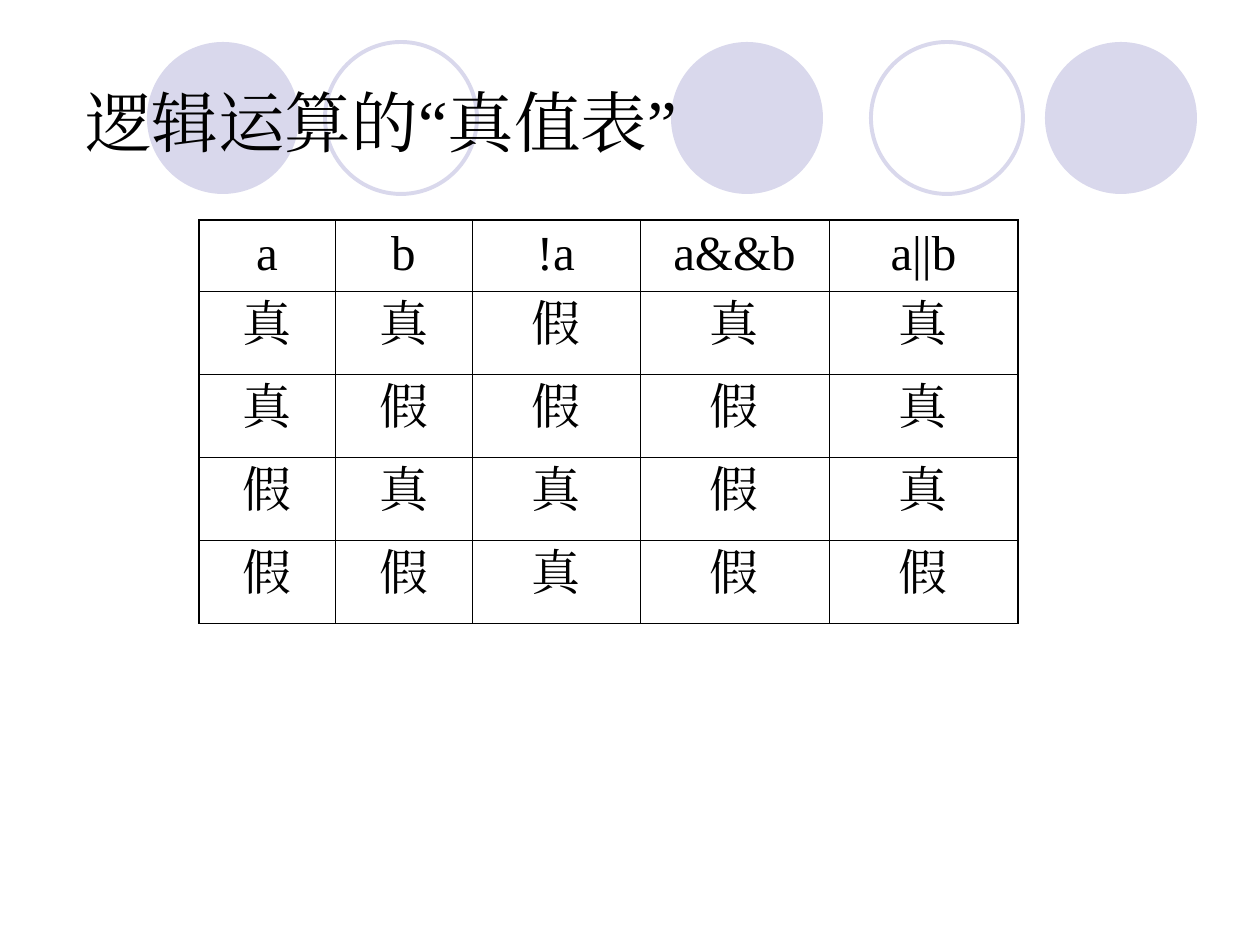
import pptx
import pptx.dml.color
import pptx.enum.lang
import pptx.enum.shapes
import pptx.enum.text
import pptx.oxml
import pptx.oxml.ns
import pptx.util

SCALE = 914400 / 126  # EMU in one px
COLORS = {"lavender": "D9D8EC", "ink": "000000"}
FONT = "Times New Roman"
SPAN_FORMAT = {"name": FONT, "bold": False,
               "language_id": pptx.enum.lang.MSO_LANGUAGE_ID.SIMPLIFIED_CHINESE}


def emu(*lengths):
    return [pptx.util.Emu(round(length * SCALE)) for length in lengths]


def write(frame, text, size, align):
    para = frame.paragraphs[0]
    para.alignment = align
    span = para.add_run()
    span.text = text
    span.font.size = pptx.util.Pt(size)
    for name, value in SPAN_FORMAT.items():
        setattr(span.font, name, value)
    span.font.color.rgb = pptx.dml.color.RGBColor.from_string(COLORS["ink"])
    # East Asian characters use the same font name
    span.font._element.append(pptx.oxml.parse_xml(
        f'<a:ea {pptx.oxml.ns.nsdecls("a")} typeface="{FONT}"/>'))


deck = pptx.Presentation()
deck.slide_width, deck.slide_height = emu(1260, 945)
page = deck.slides.add_slide(deck.slide_layouts[6])

# Row of circles: left edge, filled or outlined
lavender = pptx.dml.color.RGBColor.from_string(COLORS["lavender"])
circles = [(671, True), (1045, True), (147, True), (871, False), (325, False)]
for left, filled in circles:
    circle = page.shapes.add_shape(
        pptx.enum.shapes.MSO_SHAPE.OVAL, *emu(left, 42, 152, 152))
    circle.shadow.inherit = False
    if filled:
        circle.fill.solid()
        circle.fill.fore_color.rgb = lavender
        circle.line.fill.background()
    else:
        circle.fill.background()
        circle.line.color.rgb = lavender
        circle.line.width = pptx.util.Pt(2.25)

# Title
title = page.shapes.add_textbox(*emu(73, 42, 1134, 158)).text_frame
title.word_wrap = True
title.vertical_anchor = pptx.enum.text.MSO_ANCHOR.MIDDLE
write(title, "逻辑运算的“真值表”", 38, pptx.enum.text.PP_ALIGN.LEFT)

# Truth table
rows = [
    ["a", "b", "!a", "a&&b", "a||b"],
    ["真", "真", "假", "真", "真"],
    ["真", "假", "假", "假", "真"],
    ["假", "真", "真", "假", "真"],
    ["假", "假", "真", "假", "假"],
]
widths = [136, 137, 168, 189, 189]
heights = [67] + [83] * 4
table = page.shapes.add_table(
    len(rows), len(widths), *emu(199, 220, sum(widths), sum(heights))).table
table.first_row = table.horz_banding = False
for column, width in zip(table.columns, emu(*widths)):
    column.width = width
for row, height in zip(table.rows, emu(*heights)):
    row.height = height

for i, labels in enumerate(rows):
    for j, label in enumerate(labels):
        cell = table.cell(i, j)
        write(cell.text_frame, label, 28, pptx.enum.text.PP_ALIGN.CENTER)
        # Borders are heavier on the outer frame; they precede the fill
        outer = {"L": j == 0, "R": j == len(widths) - 1,
                 "T": i == 0, "B": i == len(rows) - 1}
        properties = cell._tc.get_or_add_tcPr()
        for side, on_frame in outer.items():
            weight = pptx.util.Pt(1.08 if on_frame else 0.45)
            properties.append(pptx.oxml.parse_xml(
                f'<a:ln{side} {pptx.oxml.ns.nsdecls("a")} w="{weight}"><a:solidFill>'
                f'<a:srgbClr val="{COLORS["ink"]}"/></a:solidFill></a:ln{side}>'))
        cell.fill.background()

deck.save("out.pptx")
